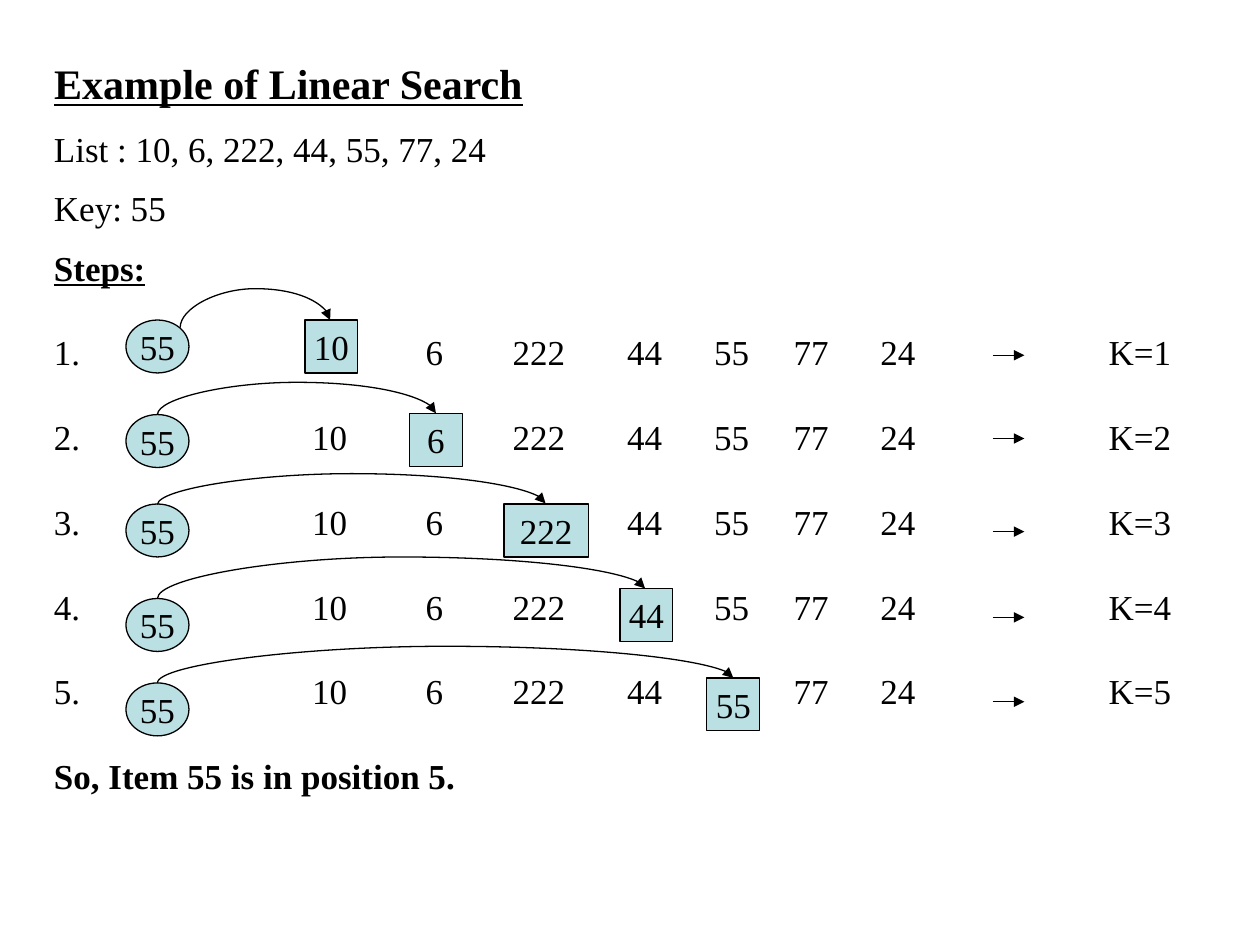
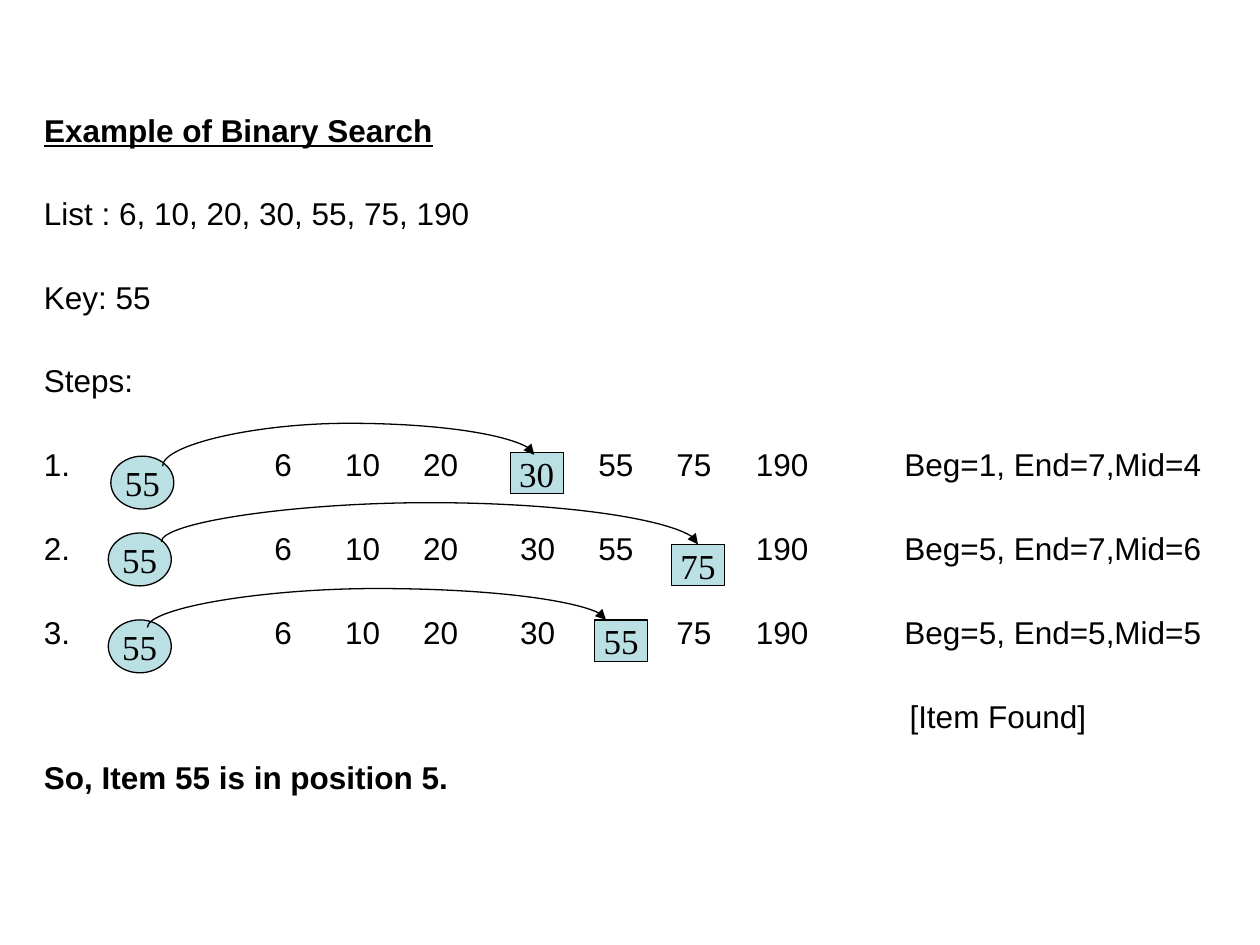
"""Build two slides that trace a linear and a binary search step by step."""
from lxml import etree
from pptx import Presentation
from pptx.dml.color import RGBColor
from pptx.enum.shapes import MSO_CONNECTOR, MSO_SHAPE
from pptx.enum.text import MSO_ANCHOR, PP_ALIGN
from pptx.oxml.ns import qn
from pptx.util import Inches, Pt

OVAL, RECT = MSO_SHAPE.OVAL, MSO_SHAPE.RECTANGLE
CURVE, STRAIGHT = MSO_CONNECTOR.CURVE, MSO_CONNECTOR.STRAIGHT
LEFT, CENTER = PP_ALIGN.LEFT, PP_ALIGN.CENTER
TOP, MIDDLE = MSO_ANCHOR.TOP, MSO_ANCHOR.MIDDLE

COLORS = {"ink": "000000", "marker": "BBE0E3"}
SERIF, SANS = "Times New Roman", "Arial"
KEY = "55"
KEY_SIZE = (0.5, 0.42)
CURVE_RISE = 0.25
RESULT_ARROW = (7.88, 8.13)
CONCLUSION = "So, Item 55 is in position 5."

LINEAR = {
    "title": "Example of Linear Search",
    "title_at": (0.33, 0.41, 9.67, 0.45), "title_size": 24,
    "body_at": (0.33, 0.96, 9.67, 5.66),
    "font": SERIF, "size": 20, "space": 10,
    "intro_spacing": 1.0, "step_spacing": 1.6, "end_spacing": 1.6,
    "values": ["10", "6", "222", "44", "55", "77", "24"],
    "tabs": [2.05, 2.95, 3.64, 4.55, 5.24, 5.87, 6.56, 8.37],
    "bold_steps": True, "found_height": 0.42,
    "steps": [
        {"found": 0, "result": "K=1", "key": (1, 2.54), "box": (2.42, 2.54, 0.42),
         "curve": (1.43, 2.6, 2.62, 2.54), "arrow": 2.82},
        {"found": 1, "result": "K=2", "key": (1, 3.29), "box": (3.25, 3.28, 0.42),
         "curve": (1.25, 3.29, 3.46, 3.28), "arrow": 3.48},
        {"found": 2, "result": "K=3", "key": (1, 4), "box": (4, 4, 0.67),
         "curve": (1.25, 4, 4.33, 4), "arrow": 4.22},
        {"found": 3, "result": "K=4", "key": (1, 4.75), "box": (4.92, 4.67, 0.42),
         "curve": (1.25, 4.75, 5.12, 4.67), "arrow": 4.9},
        {"found": 4, "result": "K=5", "key": (1, 5.42), "box": (5.61, 5.38, 0.42),
         "curve": (1.25, 5.42, 5.82, 5.38), "arrow": 5.57},
    ],
}

BINARY = {
    "title": "Example of Binary Search",
    "title_at": (0.25, 0.83, 9.75, 0.4), "title_size": 18,
    "body_at": (0.25, 1.25, 9.75, 5.32),
    "font": SANS, "size": 18, "space": 9,
    "intro_spacing": 1.8, "step_spacing": 1.8, "end_spacing": 1.2,
    "values": ["6", "10", "20", "30", "55", "75", "190"],
    "tabs": [1.83, 2.39, 3.01, 3.78, 4.4, 5.02, 5.65, 6.83],
    "bold_steps": False, "found_height": 0.33,
    "verdict": "[Item Found]", "verdict_tab": 6.87,
    "steps": [
        {"found": 3, "result": "Beg=1, End=7,Mid=4", "key": (0.88, 3.62),
         "box": (4.05, 3.59, 0.42), "curve": (1.29, 3.7, 4.24, 3.61)},
        {"found": 5, "result": "Beg=5, End=7,Mid=6", "key": (0.86, 4.23),
         "box": (5.33, 4.32, 0.42), "curve": (1.28, 4.3, 5.54, 4.32, 0.31)},
        {"found": 4, "result": "Beg=5, End=5,Mid=5", "key": (0.86, 4.92),
         "box": (4.72, 4.92, 0.42), "curve": (1.17, 4.98, 4.81, 4.92)},
    ],
}


def inches(values):
    return [Inches(value) for value in values]


def color(name):
    return RGBColor.from_string(COLORS[name])


def set_font(paragraph, name, size, bold=False, underline=False):
    font = paragraph.font
    font.name, font.size = name, Pt(size)
    font.bold, font.underline = bold, underline
    font.color.rgb = color("ink")


def add_title(slide, search):
    title = slide.shapes.title
    title.left, title.top, title.width, title.height = inches(search["title_at"])
    frame = title.text_frame
    frame.text = search["title"]
    frame.word_wrap, frame.vertical_anchor = True, TOP
    frame.paragraphs[0].alignment = LEFT
    set_font(frame.paragraphs[0], search["font"], search["title_size"], True, True)


def add_line(frame, search, text, spacing, tabs=(), numbered=False, **style):
    first = not frame.text
    paragraph = frame.paragraphs[0] if first else frame.add_paragraph()
    paragraph.text = text
    paragraph.line_spacing = spacing
    if not first:
        paragraph.space_before = Pt(search["space"])
    properties = paragraph._p.get_or_add_pPr()
    if numbered:
        etree.SubElement(properties, qn("a:buAutoNum"), type="arabicPeriod")
    if tabs:
        stops = etree.SubElement(properties, qn("a:tabLst"))
        for tab in tabs:
            etree.SubElement(stops, qn("a:tab"), pos=str(Inches(tab)), algn="l")
    set_font(paragraph, search["font"], search["size"], **style)


def add_body(slide, search):
    frame = slide.shapes.add_textbox(*inches(search["body_at"])).text_frame
    frame.word_wrap = True
    spacing, bold_steps = search["intro_spacing"], search["bold_steps"]
    add_line(frame, search, "List : " + ", ".join(search["values"]), spacing)
    add_line(frame, search, "Key: " + KEY, spacing)
    add_line(frame, search, "Steps:", spacing, bold=bold_steps, underline=bold_steps)
    for step in search["steps"]:
        cells = search["values"] + [step["result"]]
        cells[step["found"]] = ""
        add_line(frame, search, "\t" + "\t".join(cells), search["step_spacing"],
                 search["tabs"], numbered=True)
    if "verdict" in search:
        add_line(frame, search, "\t" + search["verdict"], search["step_spacing"],
                 [search["verdict_tab"]])
    add_line(frame, search, CONCLUSION, search["end_spacing"], bold=True)


def add_marker(slide, kind, text, *place):
    marker = slide.shapes.add_shape(kind, *inches(place))
    marker.shadow.inherit = False
    marker.fill.solid()
    marker.fill.fore_color.rgb = color("marker")
    marker.line.color.rgb = color("ink")
    marker.line.width = Pt(0.75)
    frame = marker.text_frame
    frame.text = text
    frame.word_wrap, frame.vertical_anchor = False, MIDDLE
    frame.paragraphs[0].alignment = CENTER
    set_font(frame.paragraphs[0], SERIF, 20)


def add_arrow(slide, kind, *ends):
    arrow = slide.shapes.add_connector(kind, *inches(ends))
    arrow.line.color.rgb = color("ink")
    arrow.line.width = Pt(0.75)
    properties = arrow.element.spPr
    etree.SubElement(properties.find(qn("a:ln")), qn("a:tailEnd"), type="triangle")
    etree.SubElement(properties, qn("a:effectLst"))
    return properties


def add_curve(slide, x1, y1, x2, y2, rise=CURVE_RISE):
    depth, span = max(abs(y1 - y2), 0.01), x2 - x1
    left, top = (x1 + x2 - depth) / 2, (y1 + y2 - span) / 2
    properties = add_arrow(slide, CURVE, left, top, left + depth, top + span)
    bend = (y1 - min(y1, y2) + rise) / depth
    frame = properties.find(qn("a:xfrm"))
    if y2 > y1:
        bend = -bend
        frame.set("flipV", "1")
    frame.set("rot", str((90 if y2 > y1 else 270) * 60000))
    guides = properties.find(qn("a:prstGeom")).find(qn("a:avLst"))
    etree.SubElement(guides, qn("a:gd"), name="adj1", fmla=f"val {round(bend * 100000)}")


def add_search(deck, search):
    slide = deck.slides.add_slide(deck.slide_layouts[5])
    add_title(slide, search)
    add_body(slide, search)
    for step in search["steps"]:
        found = search["values"][step["found"]]
        add_marker(slide, OVAL, KEY, *step["key"], *KEY_SIZE)
        add_marker(slide, RECT, found, *step["box"], search["found_height"])
        add_curve(slide, *step["curve"])
        if "arrow" in step:
            start, end = RESULT_ARROW
            add_arrow(slide, STRAIGHT, start, step["arrow"], end, step["arrow"])


def main():
    deck = Presentation()
    deck.slide_width, deck.slide_height = Inches(10), Inches(7.5)
    for search in (LINEAR, BINARY):
        add_search(deck, search)
    deck.save("out.pptx")


if __name__ == "__main__":
    main()
